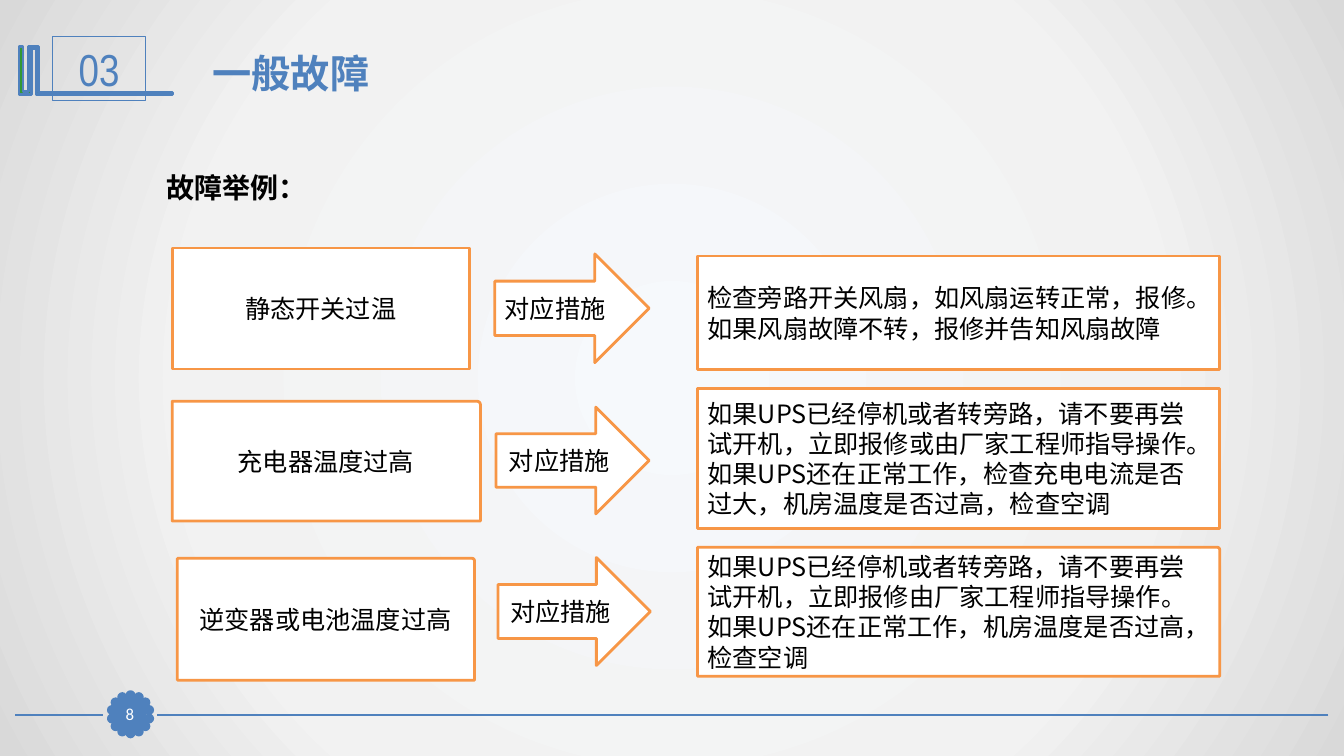
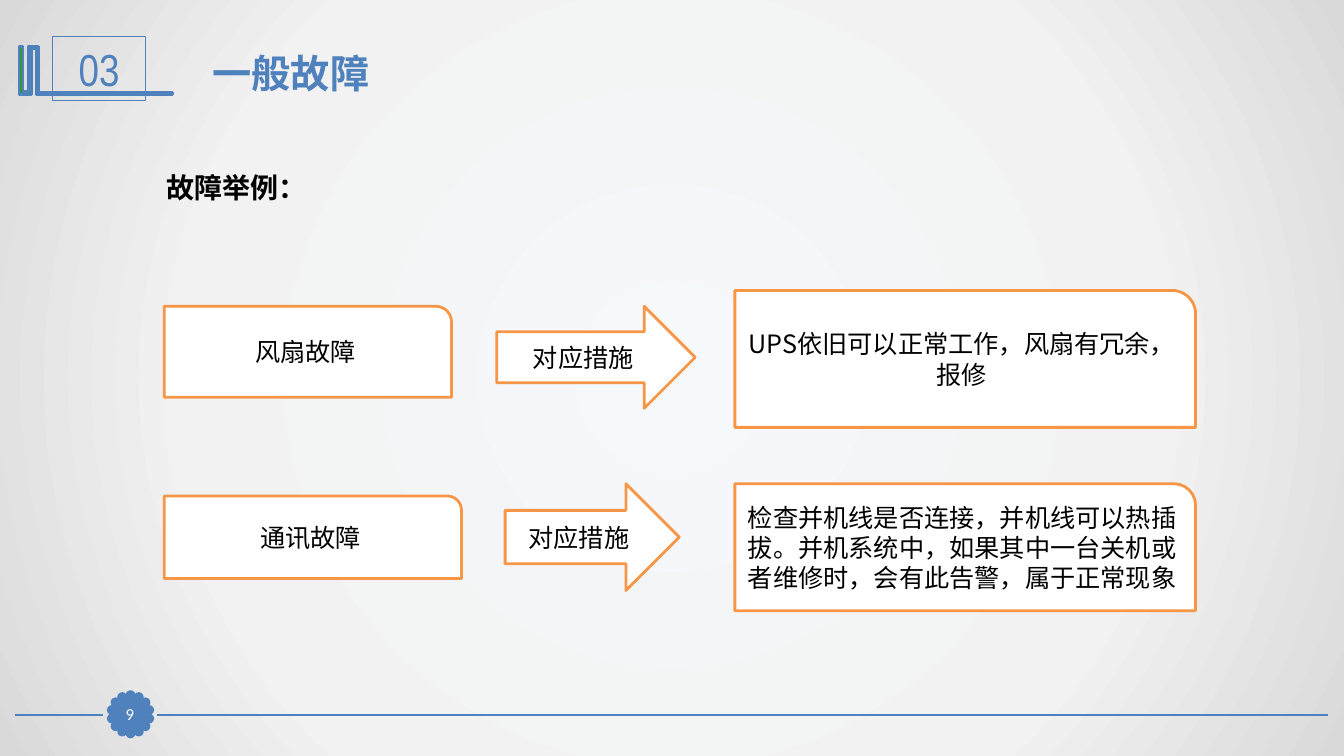
"""Build two slides of common UPS faults and the measures they call for."""
from math import cos, pi, sin

from lxml import etree
from pptx import Presentation
from pptx.dml.color import RGBColor
from pptx.enum.shapes import MSO_CONNECTOR, MSO_SHAPE
from pptx.enum.text import MSO_ANCHOR, PP_ALIGN
from pptx.oxml import parse_xml
from pptx.oxml.ns import nsdecls, qn
from pptx.util import Cm, Pt

BLUE = RGBColor(0x4F, 0x81, 0xBD)
ORANGE = RGBColor(0xF7, 0x96, 0x46)
GREEN = RGBColor(0x33, 0x99, 0x33)
WHITE = RGBColor(0xFF, 0xFF, 0xFF)
BLACK = RGBColor(0, 0, 0)
BACKDROP = [(0, RGBColor(0xF6, 0xF9, 0xFC)), (63, RGBColor(0xF2, 0xF2, 0xF2)),
            (100, RGBColor(0xD9, 0xD9, 0xD9))]

LEFT, CENTER = PP_ALIGN.LEFT, PP_ALIGN.CENTER
MIDDLE = MSO_ANCHOR.MIDDLE
RECTANGLE, OVAL = MSO_SHAPE.RECTANGLE, MSO_SHAPE.OVAL
CARD, ARROW = MSO_SHAPE.ROUND_1_RECTANGLE, MSO_SHAPE.RIGHT_ARROW
STRAIGHT = MSO_CONNECTOR.STRAIGHT

BODY_FONT, HEAD_FONT, NUMBER_FONT = "Noto Sans CJK SC", "Calibri", "Arial Narrow"

SECTION, TITLE, LEAD, MEASURE = "03", "一般故障", "故障举例：", "对应措施"
ROUND = 0.17

PAGES = [
    {"number": "8", "remedy_align": LEFT, "rows": [
        {"fault": ("静态开关过温", (4.34, 6.25, 7.49, 3.05), 0),
         "arrow": ((12.47, 6.4, 3.89, 2.74), LEFT),
         "remedy": ("检查旁路开关风扇，如风扇运转正常，报修。如果风扇故障不转，报修并告知风扇故障",
                    (17.58, 6.45, 13.16, 2.87), 0)},
        {"fault": ("充电器温度过高", (4.34, 10.11, 7.77, 3.02), 0.03),
         "arrow": ((12.5, 10.26, 3.86, 2.69), CENTER),
         "remedy": ("如果UPS已经停机或者转旁路，请不要再尝试开机，立即报修或由厂家工程师指导操作。"
                    "如果UPS还在正常工作，检查充电电流是否过大，机房温度是否过高，检查空调",
                    (17.58, 9.8, 13.16, 3.51), 0)},
        {"fault": ("逆变器或电池温度过高", (4.47, 14.07, 7.49, 3.07), 0.02),
         "arrow": ((12.55, 14.05, 3.84, 2.72), CENTER),
         "remedy": ("如果UPS已经停机或者转旁路，请不要再尝试开机，立即报修由厂家工程师指导操作。"
                    "如果UPS还在正常工作，机房温度是否过高，检查空调",
                    (17.58, 13.79, 13.16, 3.25), 0.02)},
    ]},
    {"number": "9", "remedy_align": CENTER, "rows": [
        {"fault": ("风扇故障", (4.14, 7.72, 7.24, 2.29), ROUND),
         "arrow": ((12.52, 7.72, 5, 2.57), CENTER),
         "remedy": ("UPS依旧可以正常工作，风扇有冗余，报修", (18.52, 7.32, 11.61, 3.45), ROUND)},
        {"fault": ("通讯故障", (4.14, 12.5, 7.49, 2.08), ROUND),
         "arrow": ((12.73, 12.19, 4.39, 2.69), CENTER),
         "remedy": ("检查并机线是否连接，并机线可以热插拔。并机系统中，如果其中一台关机或者维修时，"
                    "会有此告警，属于正常现象", (18.52, 12.19, 11.61, 3.2), ROUND)},
    ]},
]

FOOTER_Y = 18.01
FOOTER_LINES = [(33.48, 3.96), (2.59, 0.38)]
SEAL_X, SEAL_Y, SEAL_RADIUS, DOT, DOT_COUNT = 3.29, 18, 0.48, 0.18, 14
BRACKET = [(0.94, 1.17), (0.97, 1.17), (0.97, 2.34), (4.34, 2.34), (4.34, 2.39),
           (0.91, 2.39), (0.91, 1.22), (0.79, 1.22), (0.79, 2.39), (0.48, 2.39),
           (0.48, 1.17), (0.58, 1.17), (0.58, 2.31), (0.71, 2.31), (0.71, 1.17)]


def paint(shape, fill, line, width):
    """Set fill and outline and drop the shadow."""
    shape.shadow.inherit = False
    if fill is None:
        shape.fill.background()
    else:
        shape.fill.solid()
        shape.fill.fore_color.rgb = fill
    shape.line.color.rgb = line
    shape.line.width = Pt(width)


def write(box, text, size, font, color, align=LEFT, bold=False, spacing=None):
    """Put one styled paragraph in a box."""
    box.text_frame.word_wrap = True
    para = box.text_frame.paragraphs[0]
    para.text = text
    para.alignment = align
    para.line_spacing = spacing
    para.font.size = Pt(size)
    para.font.name = font
    para.font.bold = bold
    para.font.color.rgb = color
    for style in box.element.xpath(".//a:defRPr"):
        etree.SubElement(style, qn("a:ea"), typeface=BODY_FONT)


def add_box(page, kind, area, fill, line, width, corner=None):
    """Add a painted preset shape."""
    box = page.shapes.add_shape(kind, *map(Cm, area))
    paint(box, fill, line, width)
    if corner is not None:
        box.adjustments[0] = corner
    box.text_frame.vertical_anchor = MIDDLE
    return box


def add_heading(page, area, text, size, color, spacing=None):
    """Add a bold line of text."""
    box = page.shapes.add_textbox(*map(Cm, area))
    write(box, text, size, HEAD_FONT, color, bold=True, spacing=spacing)


def add_frame(page, number):
    """Draw the footer, page seal, section mark and headings."""
    for start, end in FOOTER_LINES:
        rule = page.shapes.add_connector(
            STRAIGHT, Cm(start), Cm(FOOTER_Y), Cm(end), Cm(FOOTER_Y))
        rule.line.color.rgb = BLUE
        rule.line.width = Pt(1.25)
        etree.SubElement(rule.element.spPr, qn("a:effectLst"))
    for index in range(DOT_COUNT):
        angle = 2 * pi * index / DOT_COUNT
        left = SEAL_X + SEAL_RADIUS * sin(angle) - DOT / 2
        top = SEAL_Y - SEAL_RADIUS * cos(angle) - DOT / 2
        add_box(page, OVAL, (left, top, DOT, DOT), BLUE, BLUE, 2)
    seal = add_box(page, RECTANGLE, (2.87, 17.6, 0.81, 0.79), BLUE, BLUE, 0.75)
    frame = seal.text_frame
    frame.margin_left = frame.margin_right = frame.margin_top = frame.margin_bottom = 0
    write(seal, number, 12, HEAD_FONT, WHITE, CENTER)

    points = [(Cm(x), Cm(y)) for x, y in BRACKET]
    outline = page.shapes.build_freeform(*points[0])
    outline.add_line_segments(points[1:], close=True)
    paint(outline.convert_to_shape(), GREEN, BLUE, 2)
    section = add_box(page, RECTANGLE, (1.32, 0.91, 2.36, 1.63), None, BLUE, 0.75)
    write(section, SECTION, 32, NUMBER_FONT, BLUE, CENTER)
    add_heading(page, (5.11, 1.12, 12.57, 1.45), TITLE, 28, BLUE)
    add_heading(page, (3.94, 3.33, 14.2, 1.7), LEAD, 20, BLACK, 2.0)


def add_row(page, row, remedy_align):
    """Draw a fault, its arrow and its remedy."""
    fault, fault_area, fault_corner = row["fault"]
    arrow_area, arrow_align = row["arrow"]
    remedy, remedy_area, remedy_corner = row["remedy"]
    for kind, text, area, corner, align in [
            (CARD, fault, fault_area, fault_corner, CENTER),
            (ARROW, MEASURE, arrow_area, None, arrow_align),
            (CARD, remedy, remedy_area, remedy_corner, remedy_align)]:
        box = add_box(page, kind, area, WHITE, ORANGE, 2, corner)
        write(box, text, 18, BODY_FONT, BLACK, align)


def set_backdrop(master):
    """Give the master a circular gradient."""
    master.background.fill.gradient()
    old = master.element.xpath(".//p:bgPr/a:gradFill")[0]
    stops = "".join(f'<a:gs pos="{place * 1000}"><a:srgbClr val="{color}"/></a:gs>'
                    for place, color in BACKDROP)
    old.getparent().replace(old, parse_xml(
        f'<a:gradFill {nsdecls("a")} rotWithShape="1"><a:gsLst>{stops}</a:gsLst>'
        '<a:path path="circle"><a:fillToRect l="50000" t="50000" r="50000" b="50000"/>'
        '</a:path></a:gradFill>'))


def main():
    """Build and save the deck."""
    deck = Presentation()
    deck.slide_width, deck.slide_height = Cm(33.87), Cm(19.05)
    set_backdrop(deck.slide_master)
    for content in PAGES:
        page = deck.slides.add_slide(deck.slide_layouts[6])
        add_frame(page, content["number"])
        for row in content["rows"]:
            add_row(page, row, content["remedy_align"])
    deck.save("out.pptx")


if __name__ == "__main__":
    main()
